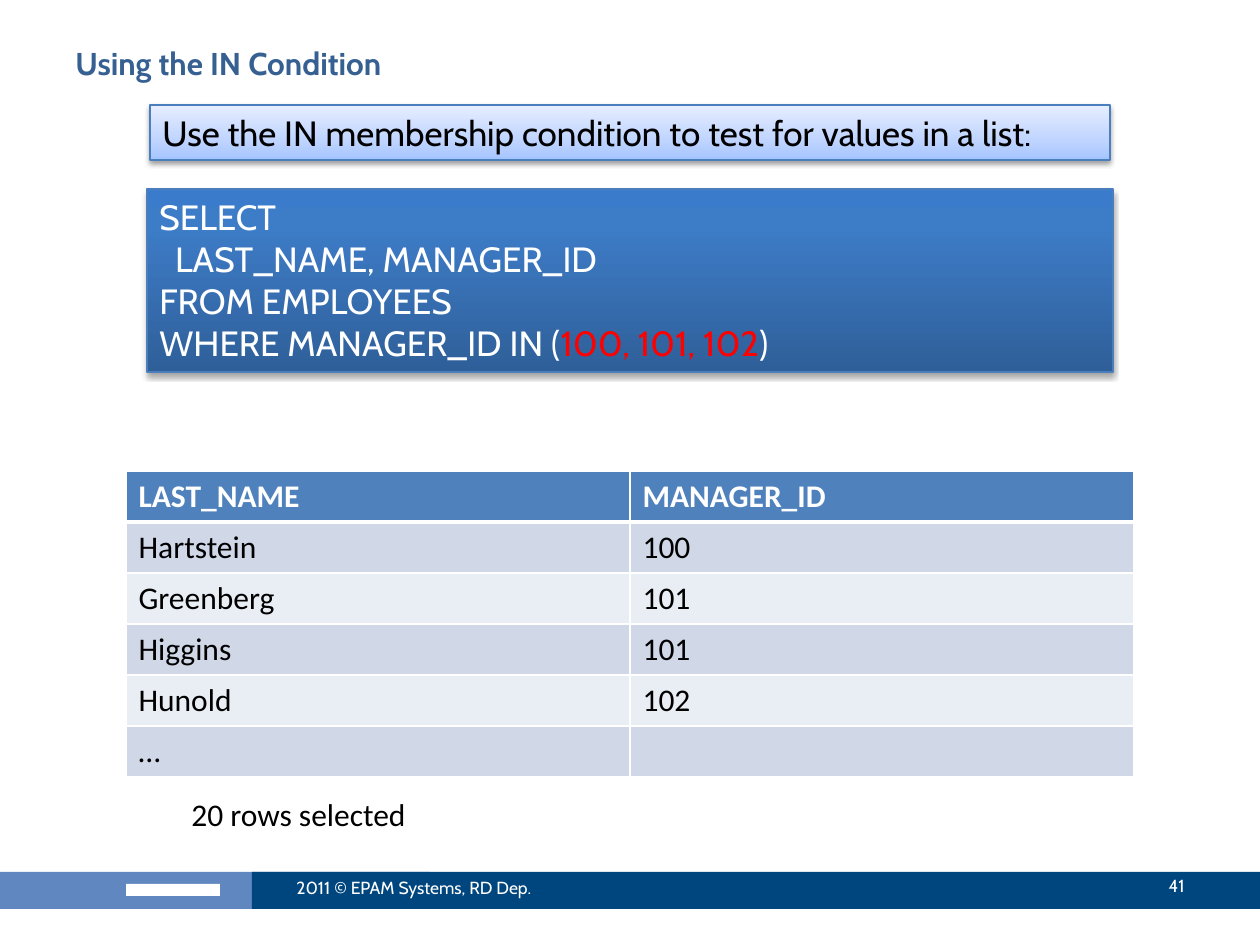
from lxml import etree
from pptx import Presentation
from pptx.dml.color import RGBColor
from pptx.enum.shapes import MSO_SHAPE
from pptx.enum.text import MSO_ANCHOR, PP_ALIGN
from pptx.oxml.ns import qn
from pptx.util import Pt

RECTANGLE = MSO_SHAPE.RECTANGLE
TOP, MIDDLE = MSO_ANCHOR.TOP, MSO_ANCHOR.MIDDLE
LEFT, RIGHT = PP_ALIGN.LEFT, PP_ALIGN.RIGHT
PX = 914400 / 126


def color(hex_value):
    return RGBColor.from_string(hex_value)


def write(frame, text, size, font, hex_value, bold=False, align=LEFT):
    frame.text = text
    for para in frame.paragraphs:
        para.alignment = align
        for span in para.runs:
            span.font.size = Pt(size)
            span.font.name = font
            span.font.bold = bold
            span.font.color.rgb = color(hex_value)


deck = Presentation()
deck.slide_width = round(1260 * PX)
deck.slide_height = round(945 * PX)
page = deck.slides.add_slide(deck.slide_layouts[6])

footer_bars = [
    (-2, 872, 432, 37, "6087BF"),
    (126, 884, 94, 12, "FFFFFF"),
    (252, 872, 1008, 37, "00467E"),
]
for *bounds, fill in footer_bars:
    bar = page.shapes.add_shape(RECTANGLE, *[round(side * PX) for side in bounds])
    bar.shadow.inherit = False
    bar.fill.solid()
    bar.fill.fore_color.rgb = color(fill)
    bar.line.fill.background()

labels = [
    (63, 38, 1134, 98, "Using the IN Condition", 18, "Cabin", "376092", True, LEFT, TOP, True),
    (284, 863, 336, 50, "2011 © EPAM Systems, RD Dep.", 10, "Cabin", "FFFFFF", False, LEFT, MIDDLE, True),
    (1061, 861, 136, 50, "41", 10, "Cabin", "FFFFFF", False, RIGHT, MIDDLE, True),
    (179, 789, 265, 50, "20 rows selected", 18, "Calibri", "000000", False, LEFT, TOP, False),
]
for left, top, width, height, text, size, font, ink, bold, align, anchor, wrap in labels:
    box = page.shapes.add_textbox(*[round(side * PX) for side in (left, top, width, height)])
    box.text_frame.word_wrap = wrap
    box.text_frame.vertical_anchor = anchor
    write(box.text_frame, text, size, font, ink, bold, align)

rows = [
    ("LAST_NAME", "MANAGER_ID"),
    ("Hartstein", "100"),
    ("Greenberg", "101"),
    ("Higgins", "101"),
    ("Hunold", "102"),
    ("…", ""),
]
bounds = (126, 471, 1008, 51 * len(rows))
table = page.shapes.add_table(len(rows), 2, *[round(side * PX) for side in bounds]).table
for row_index, row in enumerate(rows):
    header = row_index == 0
    fill = "4F81BD" if header else ("E9EDF4", "D0D8E8")[row_index % 2]
    for column_index, text in enumerate(row):
        cell = table.cell(row_index, column_index)
        write(cell.text_frame, text, 18, "Calibri", "FFFFFF" if header else "000000", header)
        properties = cell._tc.get_or_add_tcPr()
        for side in ("L", "R", "T", "B"):
            thick = (row_index, side) in ((0, "B"), (1, "T"))
            border = etree.SubElement(properties, qn(f"a:ln{side}"), w=str(Pt(3 if thick else 1)))
            paint = etree.SubElement(border, qn("a:solidFill"))
            etree.SubElement(paint, qn("a:srgbClr"), val="FFFFFF")
        cell.fill.solid()
        cell.fill.fore_color.rgb = color(fill)

query = "\n".join([
    "SELECT",
    "  LAST_NAME, MANAGER_ID",
    "FROM EMPLOYEES",
    "WHERE MANAGER_ID IN (",
])
panels = [
    (150, 105, 960, 55, "Use the IN membership condition to test for values in a list:", "000000",
     [(0, "A4C4FF"), (35, "BFD4FF"), (100, "E6EEFF")], 1.6, 38),
    (147, 189, 966, 183, query, "FFFFFF",
     [(0, "2F5F99"), (80, "3D7CC7"), (100, "3A7CCB")], 1.8, 35),
]
for left, top, width, height, text, ink, stops, distance, opacity in panels:
    panel = page.shapes.add_shape(RECTANGLE, *[round(side * PX) for side in (left, top, width, height)])
    panel.line.color.rgb = color("4B7EBC")
    panel.line.width = Pt(0.75)
    panel.fill.gradient()
    panel.fill.gradient_angle = 90
    properties = panel._element.spPr
    stop_list = properties.find(qn("a:gradFill")).find(qn("a:gsLst"))
    stop_list.clear()
    for position, shade in stops:
        stop = etree.SubElement(stop_list, qn("a:gs"), pos=str(position * 1000))
        etree.SubElement(stop, qn("a:srgbClr"), val=shade)
    panel.shadow.inherit = False
    shadow = etree.SubElement(
        properties.find(qn("a:effectLst")), qn("a:outerShdw"),
        blurRad=str(Pt(3.1)), dist=str(Pt(distance)), dir="5400000", rotWithShape="0")
    shade = etree.SubElement(shadow, qn("a:srgbClr"), val="000000")
    etree.SubElement(shade, qn("a:alpha"), val=str(opacity * 1000))
    panel.text_frame.word_wrap = True
    panel.text_frame.vertical_anchor = TOP
    write(panel.text_frame, text, 20, "Cabin", ink)

condition = panel.text_frame.paragraphs[-1]
for text, ink in (("100, 101, 102", "FF0000"), (")", "FFFFFF")):
    span = condition.add_run()
    span.text = text
    span.font.size = Pt(20)
    span.font.name = "Cabin"
    span.font.color.rgb = color(ink)

deck.save("out.pptx")
